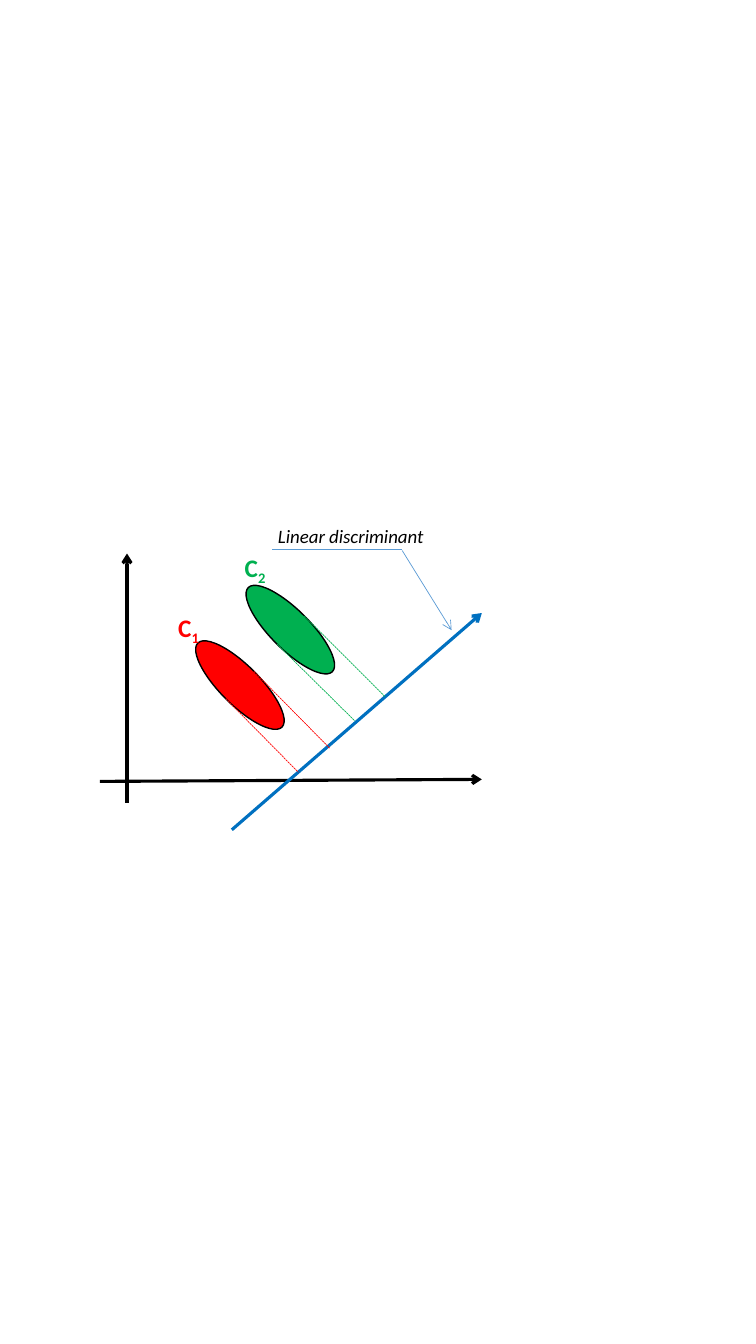
from lxml.etree import SubElement
from pptx import Presentation
from pptx.dml.color import RGBColor
from pptx.enum.dml import MSO_LINE
from pptx.enum.shapes import MSO_CONNECTOR, MSO_SHAPE
from pptx.enum.text import MSO_AUTO_SIZE
from pptx.oxml.ns import qn
from pptx.util import Pt

PX = 9144  # 100 px to the inch
BLACK, RED, GREEN = "000000", "FF0000", "00B050"
BLUE, LIGHT_BLUE = "0070C0", "5B9BD5"

prs = Presentation()
prs.slide_width, prs.slide_height = 750 * PX, 1333 * PX
slide = prs.slides.add_slide(prs.slide_layouts[6])


def add_line(start, end, color, width, arrow=False, dash=None):
    s = slide.shapes.add_connector(
        MSO_CONNECTOR.STRAIGHT, *(v * PX for v in start + end))
    s.line.color.rgb = RGBColor.from_string(color)
    s.line.width = Pt(width)
    if dash:
        s.line.dash_style = dash
    if arrow:
        SubElement(s.line._get_or_add_ln(), qn("a:tailEnd"), type="arrow")
    SubElement(s._element.spPr, qn("a:effectLst"))


def add_text(text, box, size, color, subscript="", bold=False, italic=False):
    s = slide.shapes.add_textbox(*(v * PX for v in box))
    tf = s.text_frame
    tf.word_wrap = True
    tf.auto_size = MSO_AUTO_SIZE.SHAPE_TO_FIT_TEXT
    p = tf.paragraphs[0]
    for part in filter(None, (text, subscript)):
        r = p.add_run()
        r.text = part
        r.font.name, r.font.size = "Calibri", Pt(size)
        r.font.bold, r.font.italic = bold, italic
        r.font.color.rgb = RGBColor.from_string(color)
    if subscript:
        r._r.get_or_add_rPr().set("baseline", "-25000")


# Axes
add_line((99, 775), (478, 773), BLACK, 2.25, arrow=True)
add_line((126, 796), (126, 549), BLACK, 2.25, arrow=True)

# Classes
for left, top, color in ((179, 660, RED), (229, 605, GREEN)):
    s = slide.shapes.add_shape(
        MSO_SHAPE.OVAL, left * PX, top * PX, 118 * PX, 39 * PX)
    s.rotation = 45
    s.shadow.inherit = False
    s.fill.solid()
    s.fill.fore_color.rgb = RGBColor.from_string(color)
    s.line.color.rgb = RGBColor.from_string(BLACK)
    s.line.width = Pt(1)

add_text("C", (167, 602, 43, 40), 18, RED, subscript="1", bold=True)
add_text("C", (233, 543, 57, 40), 18, GREEN, subscript="2", bold=True)

# Discriminant and the projections onto it
add_line((230, 823), (478, 608), BLUE, 2.25, arrow=True)
projections = (
    ((224, 693), (296, 766), RED),
    ((252, 666), (327, 742), RED),
    ((275, 639), (352, 715), GREEN),
    ((302, 611), (382, 691), GREEN),
)
for start, end, color in projections:
    add_line(start, end, color, 0.5, dash=MSO_LINE.SQUARE_DOT)

# Callout
add_line((399, 546), (448, 625), LIGHT_BLUE, 0.5, arrow=True)
add_line((399, 545), (270, 545), LIGHT_BLUE, 0.5)
add_text("Linear discriminant", (266, 515, 177, 33), 13.5, BLACK, italic=True)

prs.save("out.pptx")
